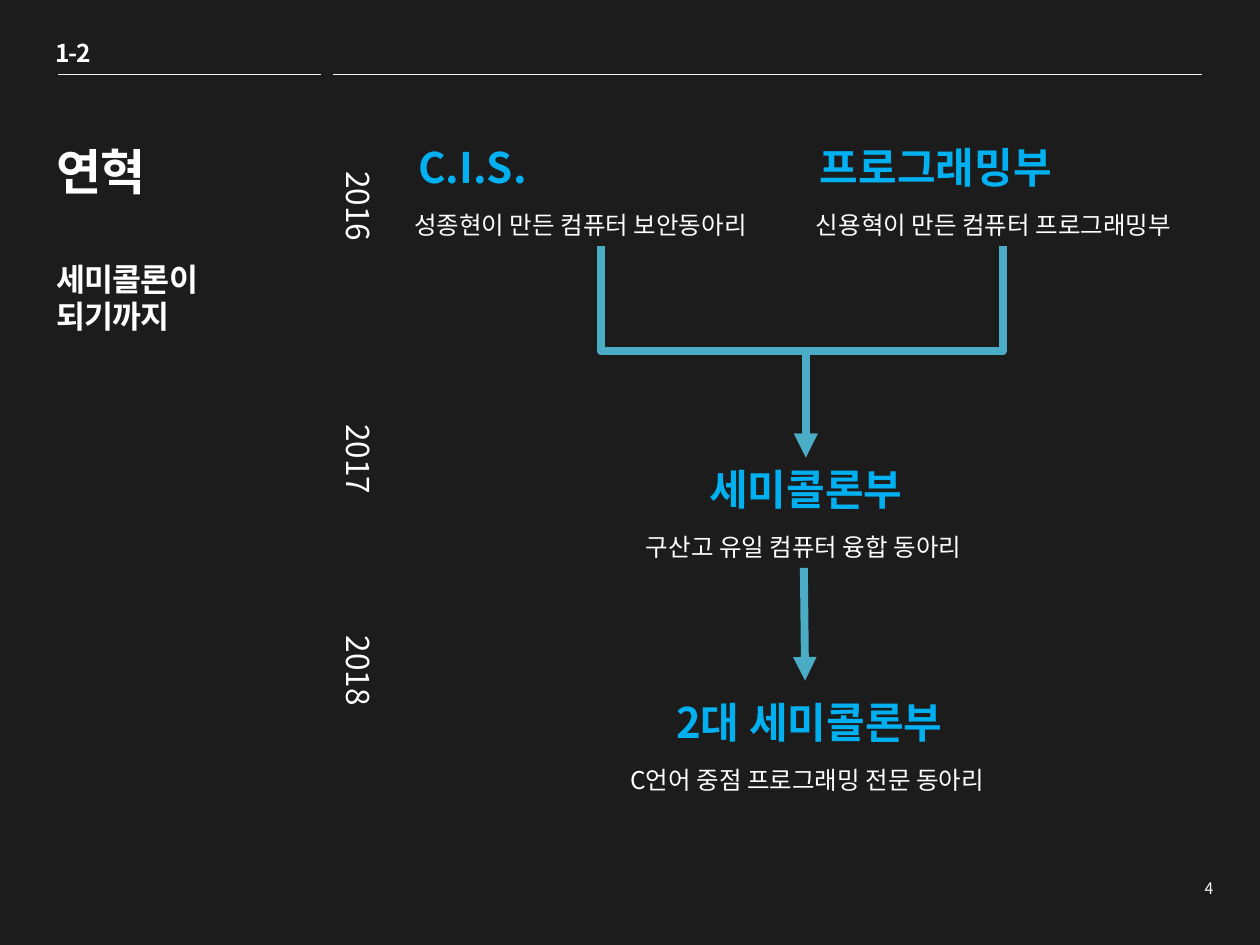
from lxml import etree
from pptx import Presentation, util as u
from pptx.dml.color import RGBColor
from pptx.enum import shapes, text
from pptx.oxml import ns

BACKGROUND = RGBColor(0x1C, 0x1C, 0x1C)
WHITE = RGBColor(0xFF, 0xFF, 0xFF)
RULE = RGBColor(0xF2, 0xF2, 0xF2)
HEADING = RGBColor(0x00, 0xB0, 0xF0)
ARROW = RGBColor(0x4B, 0xAC, 0xC6)
FONT = "Noto Sans CJK KR"
BOTTOM, TOP = 2, 0


def write(paragraph, content, size=14, color=WHITE, bold=False, align=text.PP_ALIGN.LEFT,
          line_spacing=None, space_before=0, tracking=None):
    paragraph.alignment = align
    paragraph.space_before = u.Pt(space_before)
    if line_spacing:
        paragraph.line_spacing = line_spacing
    run = paragraph.add_run()
    run.text = content
    run.font.name = FONT
    run.font.size = u.Pt(size)
    run.font.bold = bold
    run.font.color.rgb = color
    properties = run.font._element
    etree.SubElement(properties, ns.qn("a:ea"), typeface=FONT)
    if tracking:
        properties.set("spc", str(round(tracking * 100)))


class HistorySlide:
    def __init__(self, presentation):
        self.slide = presentation.slides.add_slide(presentation.slide_layouts[5])
        self.slide.background.fill.solid()
        self.slide.background.fill.fore_color.rgb = BACKGROUND

    def title(self, left, top, width, height, name, subtitle):
        shape = self.slide.shapes.title
        shape.left, shape.top, shape.width, shape.height = map(u.Cm, (left, top, width, height))
        frame = shape.text_frame
        frame.vertical_anchor = text.MSO_ANCHOR.TOP
        frame.auto_size = text.MSO_AUTO_SIZE.NONE
        write(frame.paragraphs[0], name, size=28, bold=True, tracking=-0.5)
        for index, line in enumerate(subtitle):
            write(frame.add_paragraph(), line, size=18, bold=True, tracking=-0.5,
                  space_before=0 if index else 34)

    def label(self, left, top, width, height, content, wrap=True, vertical=False, **style):
        shape = self.slide.shapes.add_textbox(*map(u.Cm, (left, top, width, height)))
        shape.text_frame.word_wrap = wrap
        if vertical:
            shape.text_frame._txBody.bodyPr.set("vert", "eaVert")
        write(shape.text_frame.paragraphs[0], content, **style)
        return shape

    def club(self, left, top, name, description, align=text.PP_ALIGN.LEFT):
        detail = self.label(left - 0.08, top + 1.09, 8.03, 1.14, description,
                            align=align, line_spacing=1.5)
        heading = self.label(left, top, 7.95, 1.27, name, size=24, color=HEADING,
                             bold=True, align=align)
        return heading, detail

    def line(self, start, end, color, weight, arrow=False, kind=shapes.MSO_CONNECTOR.STRAIGHT):
        connector = self.slide.shapes.add_connector(kind, *map(u.Cm, start + end))
        connector.line.color.rgb = color
        connector.line.width = u.Pt(weight)
        properties = connector._element.spPr
        if arrow:
            etree.SubElement(connector.line._get_or_add_ln(), ns.qn("a:tailEnd"), type="triangle")
        etree.SubElement(properties, ns.qn("a:effectLst"))
        return connector

    def merge_arrow(self, source, target):
        connector = self.line((0, 0), (1, 1), ARROW, 4.5, True, shapes.MSO_CONNECTOR.ELBOW)
        connector.begin_connect(source, BOTTOM)
        connector.end_connect(target, TOP)
        start_x = source.left + source.width // 2
        end_x = target.left + target.width // 2
        start_y, end_y = source.top + source.height, target.top
        length, span = end_y - start_y, abs(end_x - start_x)
        connector.left = (start_x + end_x - length) // 2
        connector.top = (start_y + end_y - span) // 2
        connector.width, connector.height = length, span
        rightward = end_x > start_x
        transform = connector._element.spPr.xfrm
        transform.set("rot", str((270 if rightward else 90) * 60000))
        transform.set("flipH", "1" if rightward else "0")
        transform.set("flipV", "0")


def main():
    presentation = Presentation()
    presentation.slide_width, presentation.slide_height = u.Cm(25.4), u.Cm(19.05)
    history = HistorySlide(presentation)

    history.label(0.86, 0.64, 1.24, 0.86, "1-2", wrap=False, bold=True, tracking=-0.5)
    for start, end in ((1.17, 6.48), (6.71, 24.23)):
        history.line((start, 1.5), (end, 1.5), RULE, 0.25)
    history.label(24, 17.6, 0.71, 0.64, "4", wrap=False, size=9, align=text.PP_ALIGN.RIGHT)
    history.title(0.89, 2.72, 5.59, 7.59, "연혁", ("세미콜론이", "되기까지"))

    for year, top in (("2016", 3.2), ("2017", 8.3), ("2018", 12.57)):
        history.label(6.48, top, 1.27, 2.2, year, vertical=True, size=18)

    center = text.PP_ALIGN.CENTER
    _, security = history.club(8.18, 2.72, "C.I.S.", "성종현이 만든 컴퓨터 보안동아리")
    _, programming = history.club(16.28, 2.72, "프로그래밍부", "신용혁이 만든 컴퓨터 프로그래밍부")
    merged, merged_detail = history.club(12.27, 9.22, "세미콜론부",
                                         "구산고 유일 컴퓨터 융합 동아리", center)
    history.club(12.34, 13.92, "2대 세미콜론부", "C언어 중점 프로그래밍 전문 동아리", center)

    for source in (security, programming):
        history.merge_arrow(source, merged)
    succession = history.line((16.2, 11.45), (16.23, 13.72), ARROW, 4.5, arrow=True)
    succession.begin_connect(merged_detail, BOTTOM)

    presentation.save("out.pptx")


if __name__ == "__main__":
    main()
